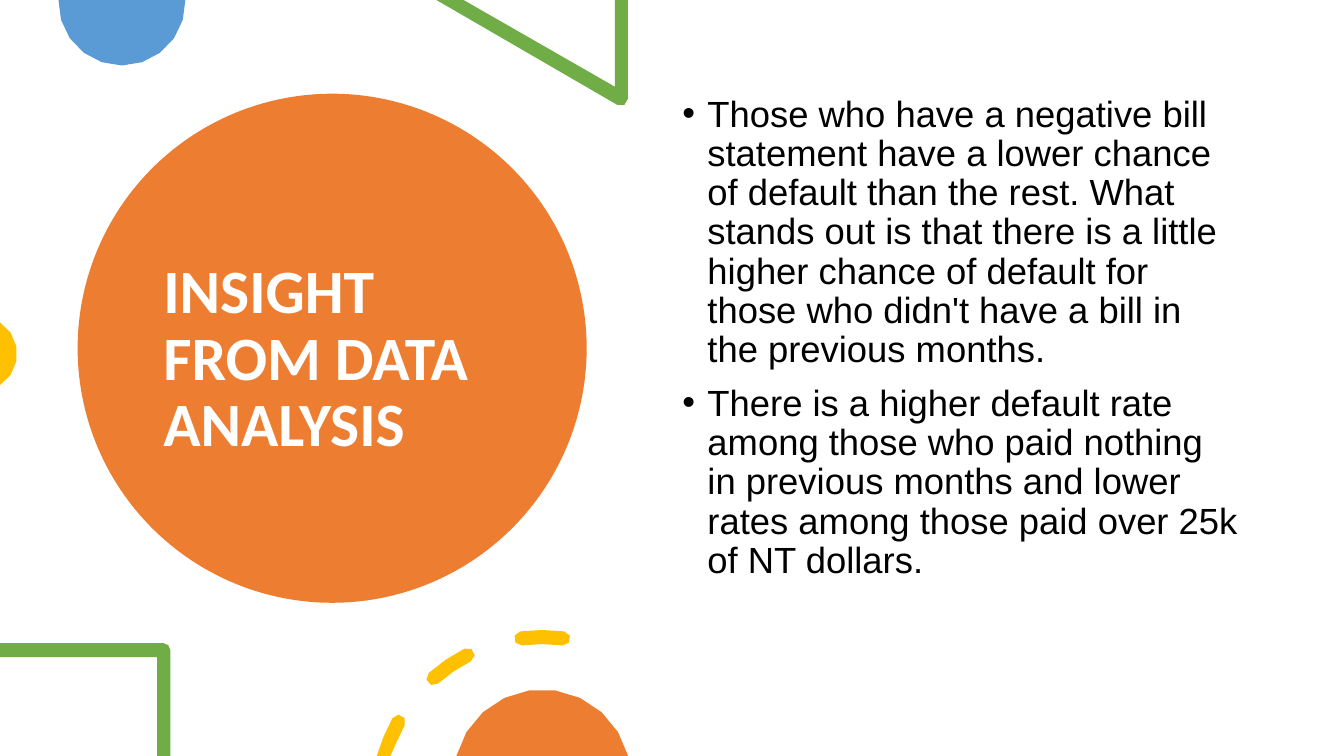
import math

from lxml import etree
from pptx import Presentation
from pptx import util as u
from pptx.dml.color import RGBColor
from pptx.enum import shapes, text
from pptx.oxml import ns

COLORS = {"orange": "ED7D31", "blue": "5B9BD5", "green": "70AD47",
          "yellow": "FFC000", "white": "FFFFFF", "black": "000000"}
SLIDE_HEIGHT = 7.5
STROKE = 0.14
INSIGHTS = [
    "Those who have a negative bill statement have a lower chance of default "
    "than the rest. What stands out is that there is a little higher chance of "
    "default for those who didn't have a bill in the previous months.",
    "There is a higher default rate among those who paid nothing in previous "
    "months and lower rates among those paid over 25k of NT dollars.",
]


def arc(center_x, center_y, radius, start, end):
    """Return the fewest arc points that look round, in degrees clockwise from the right."""
    largest_step = 2 * math.degrees(math.acos(1 - 0.01 / radius))
    steps = math.ceil(abs(end - start) / largest_step)
    angles = [math.radians(start + (end - start) * i / steps) for i in range(steps + 1)]
    return [(center_x + radius * math.cos(a), center_y + radius * math.sin(a))
            for a in angles]


def paint(shape, color):
    """Give a shape a flat fill with no line or shadow."""
    shape.fill.solid()
    shape.fill.fore_color.rgb = RGBColor.from_string(COLORS[color])
    shape.line.fill.background()
    shape.shadow.inherit = False


presentation = Presentation()
presentation.slide_width = u.Inches(40 / 3)
presentation.slide_height = u.Inches(SLIDE_HEIGHT)
slide = presentation.slides.add_slide(presentation.slide_layouts[5])

# Title circle, with the title brought in front of it
title_circle = slide.shapes.add_shape(
    shapes.MSO_SHAPE.OVAL, u.Inches(0.77), u.Inches(0.93), u.Inches(5.05), u.Inches(5.05))
paint(title_circle, "orange")

title = slide.shapes.title
title_circle._element.addnext(title._element)
title.left, title.top = u.Inches(1.52), u.Inches(1.35)
title.width, title.height = u.Inches(3.54), u.Inches(4.45)
title_frame = title.text_frame
title_frame.word_wrap = True
title_frame.auto_size = text.MSO_AUTO_SIZE.NONE
title_frame.vertical_anchor = text.MSO_ANCHOR.MIDDLE
paragraph = title_frame.paragraphs[0]
paragraph.alignment = text.PP_ALIGN.LEFT
paragraph.line_spacing = 0.9
run = paragraph.add_run()
run.text = "INSIGHT FROM DATA ANALYSIS"
run.font.name, run.font.size, run.font.bold = "Calibri", u.Pt(44), True
run.font.color.rgb = RGBColor.from_string(COLORS["white"])

# Dashes of the yellow ring: round-ended bands, cut off at the slide's bottom
ring_x, ring_y, ring_radius = 5.38, 7.95, 1.63
dashes = []
for start, end in [(195, 209), (228.5, 243), (262.6, 277.4)]:
    middle_line = arc(ring_x, ring_y, ring_radius, start, end)
    band = (arc(ring_x, ring_y, ring_radius + STROKE / 2, start, end)
            + arc(*middle_line[-1], STROKE / 2, end, end + 180)[1:]
            + arc(ring_x, ring_y, ring_radius - STROKE / 2, end, start)[1:])
    if start > 200:
        band += arc(*middle_line[0], STROKE / 2, start + 180, start + 360)[1:-1]
    dashes.append([(x, min(y, SLIDE_HEIGHT)) for x, y in band])

# Decorations that run off the slide's edges
triangle = [(6.23, 0), (6.1, 0), (6.1, 0.86), (4.6, 0), (4.33, 0),
            *arc(6.16, 0.98, STROKE / 2, 120, 0)]
square = [(0, 6.38), *arc(1.62, 6.45, STROKE / 2, -90, 0), (1.69, 7.5),
          (1.56, 7.5), (1.56, 6.52), (0, 6.52)]
decorations = [
    ("blue", [arc(1.21, 0.02, 0.63, -2, 182)]),
    ("green", [triangle]),
    ("yellow", [arc(-0.2, 3.51, 0.37, -57, 57)]),
    ("green", [square]),
    ("yellow", dashes),
    ("orange", [arc(5.38, 7.72, 0.88, 194.5, 345.5)]),
]
for color, contours in decorations:
    builder = None
    for contour in contours:
        points = [(u.Inches(x), u.Inches(y)) for x, y in contour]
        if builder is None:
            builder = slide.shapes.build_freeform(*points[0])
        else:
            builder.move_to(*points[0])
        builder.add_line_segments(points[1:], close=True)
    paint(builder.convert_to_shape(), color)

# Bulleted insights
insights_box = slide.shapes.add_textbox(
    u.Inches(6.67), u.Inches(0.9), u.Inches(5.75), u.Inches(5.35))
insights_frame = insights_box.text_frame
insights_frame.word_wrap = True
for index, insight in enumerate(INSIGHTS):
    paragraph = insights_frame.add_paragraph() if index else insights_frame.paragraphs[0]
    paragraph.line_spacing = 0.9
    paragraph.space_before = u.Pt(10)
    properties = paragraph._p.get_or_add_pPr()
    properties.set("marL", str(u.Inches(0.25)))
    properties.set("indent", str(u.Inches(-0.25)))
    etree.SubElement(properties, ns.qn("a:buFont")).set("typeface", "Arial")
    etree.SubElement(properties, ns.qn("a:buChar")).set("char", "•")
    run = paragraph.add_run()
    run.text = insight
    run.font.name, run.font.size = "Arial", u.Pt(26)
    run.font.color.rgb = RGBColor.from_string(COLORS["black"])

presentation.save("out.pptx")
